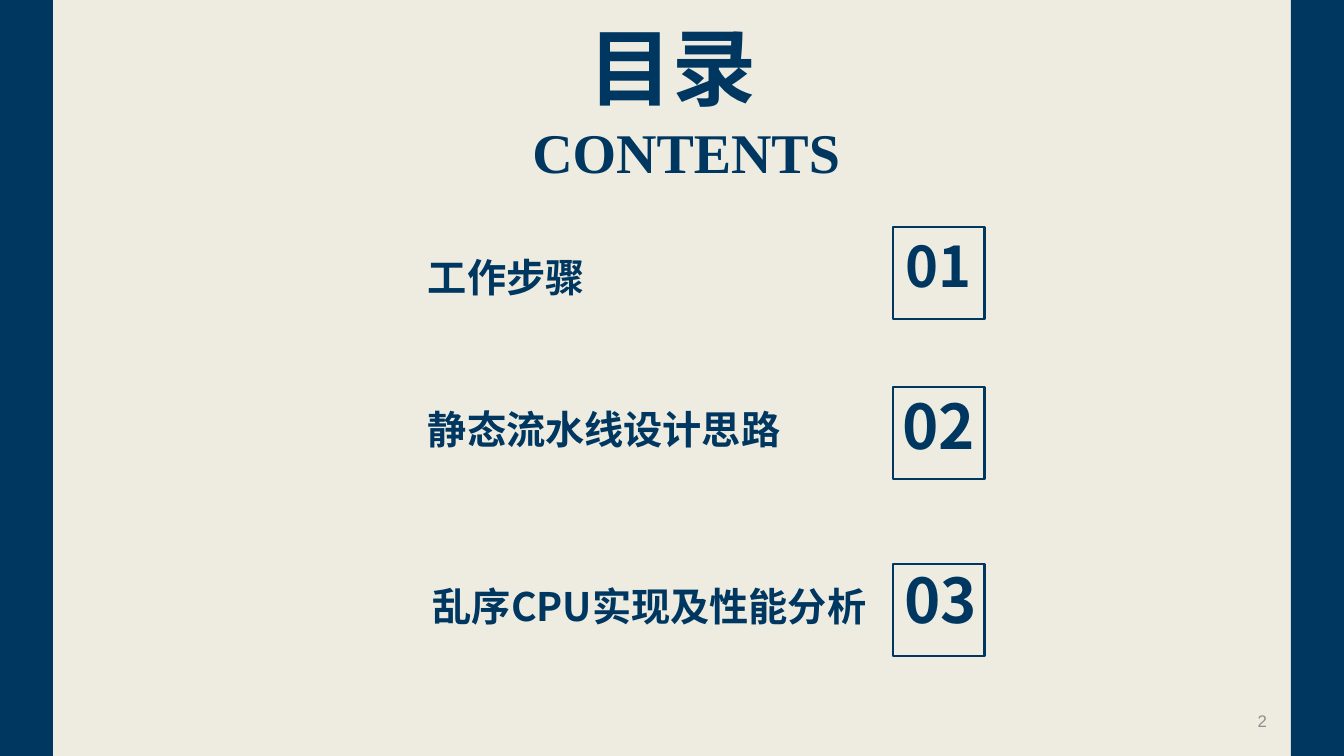
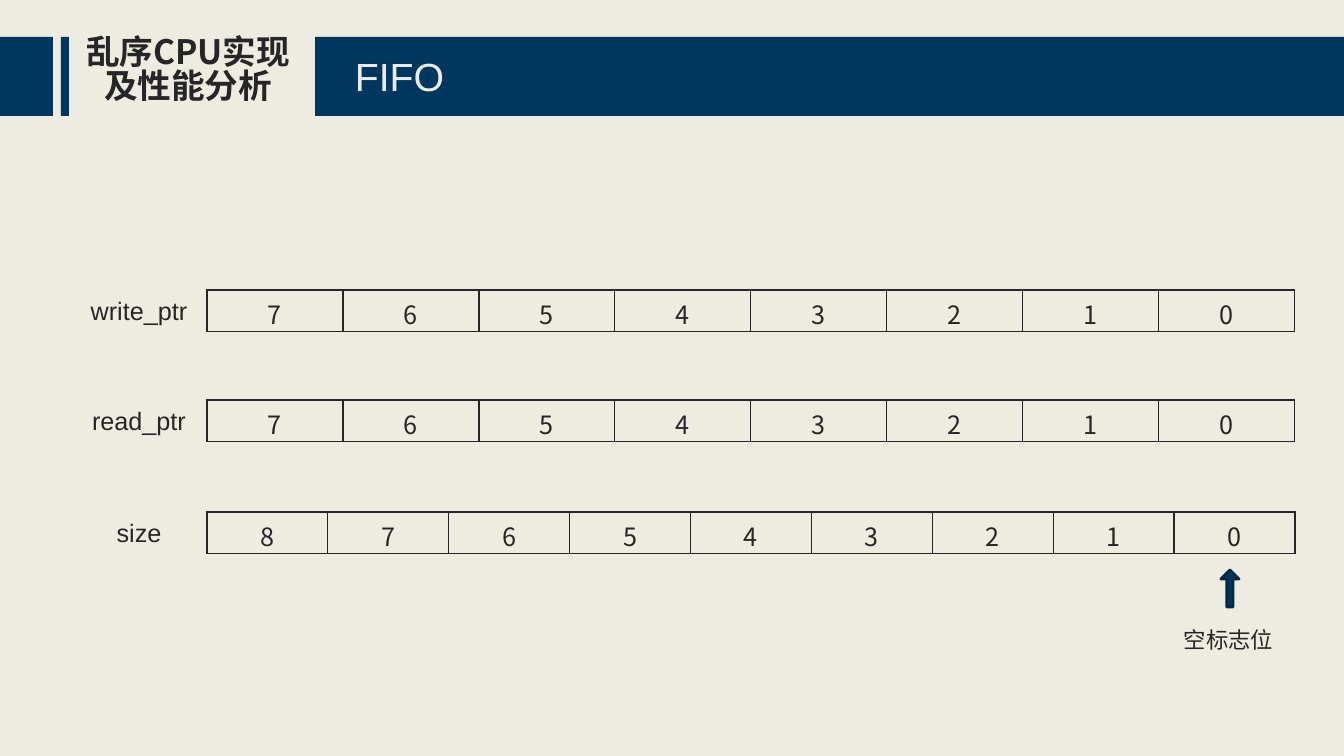
from lxml.etree import SubElement
from pptx import Presentation
from pptx.dml.color import RGBColor
from pptx.enum.shapes import MSO_SHAPE as SHAPE
from pptx.enum.text import MSO_ANCHOR as ANCHOR, MSO_AUTO_SIZE as AUTO, PP_ALIGN as ALIGN
from pptx.oxml.ns import qn
from pptx.util import Emu, Pt

# Content; lengths are pixels at 100.8 to the inch
W, H = 1344, 756
COLORS = {"navy": "003760", "edge": "002947", "paper": "EEECE1",
          "ink": "262626", "gray": "8E8E8E"}
CJK, SANS, SERIF = "Noto Sans CJK SC", "Arial", "Times New Roman"
SECTION = "乱序CPU实现及性能分析"

# text, text box, alignment, number, number box, number size, square top
CONTENTS = [
    ("工作步骤", (418, 253, 264, 57), ALIGN.LEFT, "01", (893, 233, 92, 78), 40, 227),
    ("静态流水线设计思路", (418, 405, 390, 57), ALIGN.LEFT, "02", (889, 390, 99, 85), 44, 387),
    (SECTION, (418, 582, 463, 57), ALIGN.CENTER, "03", (891, 564, 99, 85), 44, 564),
]
SQUARE_X, SQUARE = 893, 92

# label, highest index, top
REGISTERS = [("write_ptr", 7, 290), ("read_ptr", 7, 400), ("size", 8, 512)]
TABLE_X, TABLE_W, ROW_H = 207, 1088, 41
LABEL_X, LABEL_W = 80, 118
BAND_Y, BAND_H = 37, 79
BANDS = [(0, 53), (61, 8), (315, W - 315)]


def px(n):
    """Turn pixels into EMU."""
    return Emu(round(n * 914400 / 100.8))


def rgb(name):
    """Look up a named colour."""
    return RGBColor.from_string(COLORS[name])


def style(p, size, color, font, bold=False, align=ALIGN.LEFT):
    """Format a paragraph and its runs."""
    p.alignment = align
    for r in p.runs:
        f = r.font
        f.size, f.bold, f.name = Pt(size), bold, font
        f.color.rgb = rgb(color)
        SubElement(r._r.get_or_add_rPr(), qn("a:ea"), typeface=CJK)


def put_text(sp, box, text, size, color="navy", font=CJK, bold=False,
             align=ALIGN.LEFT, tight=None, anchor=ANCHOR.TOP, wrap=True):
    """Place a text shape and format it; CJK lines are set tight."""
    sp.left, sp.top, sp.width, sp.height = map(px, box)
    tf = sp.text_frame
    tf.text = text
    tf.auto_size, tf.word_wrap, tf.vertical_anchor = AUTO.NONE, wrap, anchor
    tf.margin_left = tf.margin_right = px(10)
    tf.margin_top = tf.margin_bottom = px(5)
    p = tf.paragraphs[0]
    if font == CJK or tight:
        p.line_spacing = 0.83
        tf.margin_top = px(5) + Pt(size * 0.09)
    style(p, size, color, font, bold, align)


def add_text(s, box, text, size, **kw):
    """Add a text box."""
    put_text(s.shapes.add_textbox(0, 0, 0, 0), box, text, size, **kw)


def add_box(s, box, fill="navy", line=None, kind=SHAPE.RECTANGLE):
    """Add a preset shape with an optional fill and outline."""
    sp = s.shapes.add_shape(kind, *map(px, box))
    sp.shadow.inherit = False
    if fill:
        sp.fill.solid()
        sp.fill.fore_color.rgb = rgb(fill)
    else:
        sp.fill.background()
    if line:
        sp.line.color.rgb = rgb(line)
        sp.line.width = Pt(2)
    else:
        sp.line.fill.background()
    return sp


def add_title(s, box, text, size, **kw):
    """Fill the title placeholder and bring it to the front."""
    title = s.shapes.title
    put_text(title, box, text, size, **kw)
    s.shapes._spTree.append(title._element)


def add_register(s, top, high):
    """Add a one-row table counting down from high to 0."""
    n = high + 1
    frame = s.shapes.add_table(1, n, *map(px, (TABLE_X, top, TABLE_W, ROW_H)))
    table = frame.table
    table.first_row = table.horz_banding = False
    for i in range(n):
        table.columns[i].width = px(TABLE_W / n)
        cell = table.cell(0, i)
        cell.text = str(high - i)
        cell.margin_top, cell.margin_bottom = px(5), 0
        style(cell.text_frame.paragraphs[0], 18, "ink", CJK, align=ALIGN.CENTER)
        tcPr = cell._tc.get_or_add_tcPr()
        for side in "LRTB":
            ln = SubElement(tcPr, qn(f"a:ln{side}"), w=str(Pt(1)))
            SubElement(SubElement(ln, qn("a:solidFill")), qn("a:srgbClr"), val=COLORS["ink"])
        cell.fill.background()


def contents_slide(s):
    """Build the table of contents."""
    for x in (0, W - 53):
        add_box(s, (x, 0, 53, H))
    add_title(s, (544, 20, 256, 112), "目录", 60, bold=True, align=ALIGN.CENTER)
    add_text(s, (494, 113, 356, 78), "CONTENTS", 40, font=SERIF, bold=True, align=ALIGN.RIGHT)
    for text, box, align, number, number_box, size, top in CONTENTS:
        add_text(s, box, text, 28, bold=True, align=align)
        add_text(s, number_box, number, size, bold=True, align=ALIGN.CENTER)
        add_box(s, (SQUARE_X, top, SQUARE, SQUARE), fill=None, line="navy")
    add_text(s, (964, 701, 313, 40), "2", 12, color="gray", font=SANS,
             align=ALIGN.RIGHT, anchor=ANCHOR.MIDDLE)


def fifo_slide(s):
    """Build the FIFO register diagram."""
    for x, w in BANDS:
        add_box(s, (x, BAND_Y, w, BAND_H))
    add_title(s, (345, 47, 502, 57), "FIFO", 28, color="paper", font=SANS)
    add_text(s, (63, 30, 250, 92), SECTION, 24, color="ink", bold=True, align=ALIGN.CENTER)
    for label, high, top in REGISTERS:
        add_register(s, top, high)
        add_text(s, (LABEL_X, top, LABEL_W, 40), label, 18, color="ink",
                 font=SANS, align=ALIGN.CENTER, wrap=False)
    arrow = add_box(s, (1221, 570, 18, 37), line="edge", kind=SHAPE.UP_ARROW)
    arrow.adjustments[0] = 0.34
    add_text(s, (1174, 624, 111, 37), "空标志位", 16, color="ink", font=SANS,
             tight=True, wrap=False)


prs = Presentation()
prs.slide_width, prs.slide_height = px(W), px(H)
paper = prs.slide_master.background.fill
paper.solid()
paper.fore_color.rgb = rgb("paper")
for build in (contents_slide, fifo_slide):
    build(prs.slides.add_slide(prs.slide_layouts[5]))
prs.save("out.pptx")
